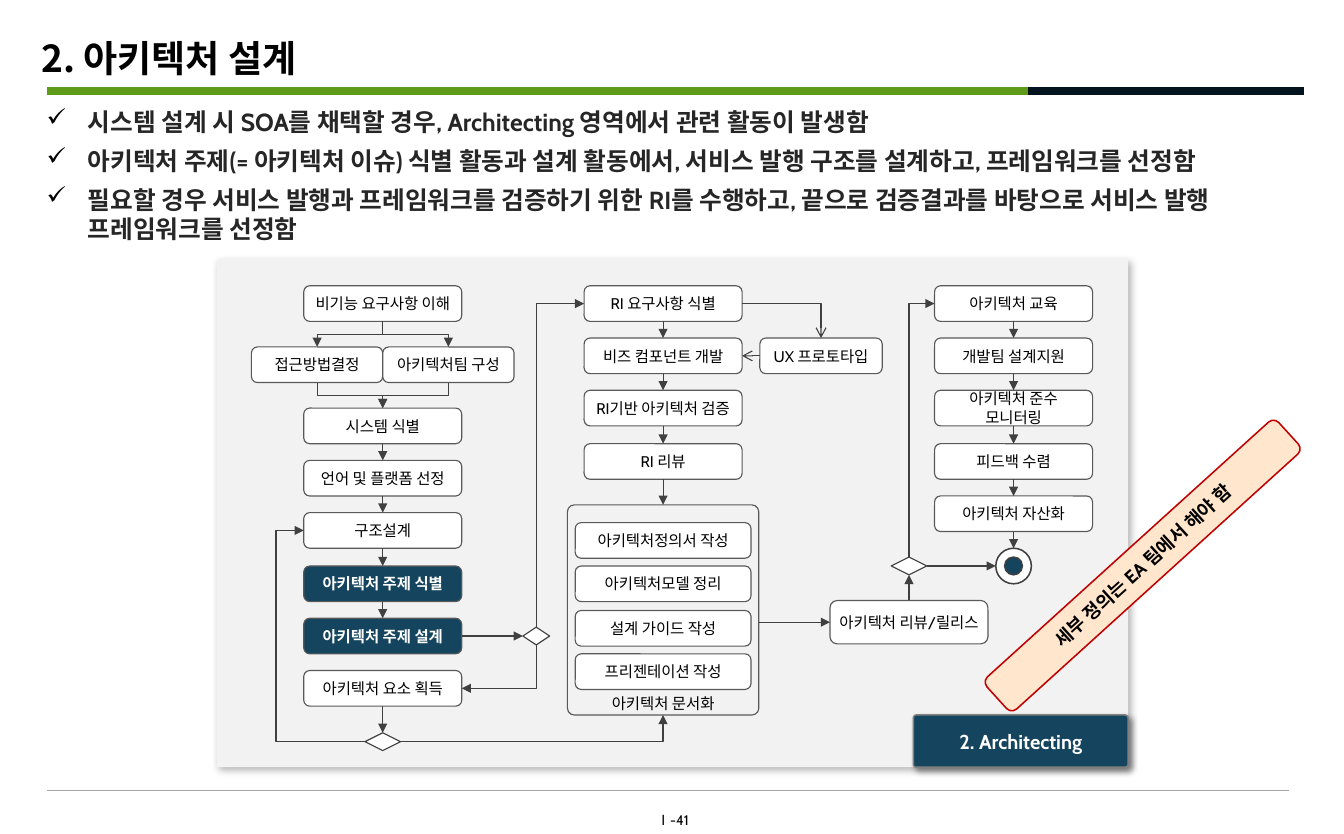
"""Build the architecture design process slide."""
from lxml import etree
from pptx import Presentation
from pptx import util as u
from pptx.dml.color import RGBColor
from pptx.enum import shapes, text
from pptx.oxml.ns import qn

PX = 9144
KOREAN, LATIN = "Noto Sans CJK KR", "Cabin"
TOP, LEFT, BOTTOM, RIGHT = range(4)
TURN = {RIGHT: 0, BOTTOM: 90, LEFT: 180, TOP: 270}
KIND = shapes.MSO_SHAPE
COLORS = {
    "black": "000000", "white": "FFFFFF", "body": "262626", "green": "609A1A",
    "dark": "04141E", "rule": "A6A6A6", "panel": "F2F2F2", "navy": "15455E",
    "gray": "808080", "border": "595959", "arrow": "404040",
    "peach": "FFE6CD", "red": "C00000",
}
BULLETS = [
    "시스템 설계 시 SOA를 채택할 경우, Architecting 영역에서 관련 활동이 발생함",
    "아키텍처 주제(= 아키텍처 이슈) 식별 활동과 설계 활동에서, 서비스 발행 구조를 설계하고, 프레임워크를 선정함",
    "필요할 경우 서비스 발행과 프레임워크를 검증하기 위한 RI를 수행하고, 끝으로 검증결과를 바탕으로 서비스 발행 프레임워크를 선정함",
]
DESIGN = ["시스템 식별", "언어 및 플랫폼 선정", "구조설계", "아키텍처 주제 식별", "아키텍처 주제 설계", "아키텍처 요소 획득"]
REFERENCE = ["RI 요구사항 식별", "비즈 컴포넌트 개발", "RI기반 아키텍처 검증", "RI 리뷰"]
DOCUMENTS = ["아키텍처정의서 작성", "아키텍처모델 정리", "설계 가이드 작성", "프리젠테이션 작성"]
ROLLOUT = ["아키텍처 교육", "개발팀 설계지원", "아키텍처 준수 모니터링", "피드백 수렴", "아키텍처 자산화"]


def px(*lengths):
    return [u.Emu(length * PX) for length in lengths]


def rgb(name):
    return RGBColor.from_string(COLORS[name])


def add_run(paragraph, words, size, color, bold=False, latin=LATIN):
    run = paragraph.add_run()
    run.text = words
    font = run.font
    font.size, font.bold, font.name = u.Pt(size), bold, latin
    font.color.rgb = rgb(color)
    etree.SubElement(run._r.get_or_add_rPr(), qn("a:ea"), typeface=KOREAN)


def set_frame(shape, anchor, side=4, edge=5):
    frame = shape.text_frame
    frame.word_wrap = True
    frame.vertical_anchor = anchor
    frame.margin_left, frame.margin_right, frame.margin_top, frame.margin_bottom = px(side, side, edge, edge)
    return frame


def add_block(slide, kind, box, fill, line=None, width=0.75, corner=None):
    shape = slide.shapes.add_shape(kind, *px(*box))
    shape.shadow.inherit = False
    shape.fill.solid()
    shape.fill.fore_color.rgb = rgb(fill)
    if line:
        shape.line.color.rgb = rgb(line)
        shape.line.width = u.Pt(width)
    else:
        shape.line.fill.background()
    if corner is not None:
        shape.adjustments[0] = corner
    return shape


def add_label(shape, words, size=10, color="black", bold=False, anchor=text.MSO_ANCHOR.MIDDLE, side=4, edge=5):
    paragraph = set_frame(shape, anchor, side, edge).paragraphs[0]
    paragraph.alignment = text.PP_ALIGN.CENTER
    add_run(paragraph, words, size, color, bold)


def add_step(slide, words, left, top, width=142, height=32, key=False):
    shape = add_block(slide, KIND.ROUNDED_RECTANGLE, (left, top, width, height), "navy" if key else "white", "border")
    add_label(shape, words, color="white" if key else "black", bold=key)
    return shape


def add_decision(slide, left, top, width=32):
    return add_block(slide, KIND.FLOWCHART_DECISION, (left, top, width, 16), "white", "arrow")


def add_shadow(shape, alpha, blur, distance, angle):
    effects = shape._element.spPr.find(qn("a:effectLst"))
    shadow = etree.SubElement(effects, qn("a:outerShdw"), blurRad=str(u.Pt(blur)), dist=str(u.Pt(distance)),
                              dir=str(angle * 60000), algn="tl", rotWithShape="0")
    color = etree.SubElement(shadow, qn("a:srgbClr"), val=COLORS["black"])
    etree.SubElement(color, qn("a:alpha"), val=str(alpha * 1000))


def add_line(slide, kind, start, end, color, width, head=None):
    connector = slide.shapes.add_connector(kind, *start, *end)
    connector.line.color.rgb = rgb(color)
    connector.line.width = u.Pt(width)
    if head:
        etree.SubElement(connector.line._get_or_add_ln(), qn("a:tailEnd"), type=head)
    etree.SubElement(connector._element.spPr, qn("a:effectLst"))
    return connector


def side_point(shape, side):
    across = {LEFT: 0, RIGHT: 2}.get(side, 1)
    down = {TOP: 0, BOTTOM: 2}.get(side, 1)
    return shape.left + shape.width * across // 2, shape.top + shape.height * down // 2


def join(connector, source, source_side, target, target_side):
    connector.begin_connect(source, source_side)
    if target.auto_shape_type != KIND.OVAL:
        connector.end_connect(target, target_side)


def add_arrow(slide, source, source_side, target, target_side, head="triangle"):
    start, end = side_point(source, source_side), side_point(target, target_side)
    connector = add_line(slide, shapes.MSO_CONNECTOR.STRAIGHT, start, end, "arrow", 0.75, head)
    join(connector, source, source_side, target, target_side)


def add_elbow(slide, source, source_side, target, target_side, head="triangle", bend=None):
    start, end = side_point(source, source_side), side_point(target, target_side)
    connector = add_line(slide, shapes.MSO_CONNECTOR.ELBOW, start, end, "arrow", 0.75, head)
    join(connector, source, source_side, target, target_side)
    turn = TURN[source_side]
    across, down = end[0] - start[0], end[1] - start[1]
    along, aside = {0: (across, down), 90: (down, -across), 180: (-across, -down), 270: (-down, across)}[turn]
    connector.width, connector.height = abs(along), abs(aside)
    connector.left = (start[0] + end[0] - abs(along)) // 2
    connector.top = (start[1] + end[1] - abs(aside)) // 2
    frame = connector._element.spPr.find(qn("a:xfrm"))
    frame.set("rot", str(turn * 60000))
    frame.set("flipH", "0")
    frame.set("flipV", "1" if aside < 0 else "0")
    geometry = connector._element.spPr.find(qn("a:prstGeom"))
    if source_side % 2 != target_side % 2:
        geometry.set("prst", "bentConnector2")
    if bend:
        etree.SubElement(geometry.find(qn("a:avLst")), qn("a:gd"), name="adj1", fmla=f"val {bend}")


def add_column(slide, names, left, top, keys=()):
    steps = [add_step(slide, name, left, top + round(47.25 * row), key=row in keys) for row, name in enumerate(names)]
    for row, (upper, lower) in enumerate(zip(steps, steps[1:])):
        if row != 4:
            add_arrow(slide, upper, BOTTOM, lower, TOP)
    return steps


def add_heading(slide):
    title = slide.shapes.title
    title.left, title.top, title.width, title.height = px(37, 28, 1137, 47)
    paragraph = set_frame(title, text.MSO_ANCHOR.MIDDLE, 0, 0).paragraphs[0]
    paragraph.alignment = text.PP_ALIGN.LEFT
    add_run(paragraph, "2. 아키텍처 설계", 24, "black", True, KOREAN)
    for left, right, top, color, width in ((42, 964, 82, "green", 5), (924, 1172, 82, "dark", 5),
                                           (42, 1159, 711, "rule", 0.25)):
        add_line(slide, shapes.MSO_CONNECTOR.STRAIGHT, px(left, top), px(right, top), color, width)
    footer = slide.shapes.add_textbox(*px(513, 724, 183, 26))
    paragraph = set_frame(footer, text.MSO_ANCHOR.TOP, 10).paragraphs[0]
    paragraph.alignment = text.PP_ALIGN.CENTER
    paragraph.line_spacing = 1.05
    add_run(paragraph, "Ⅰ", 9, "black", latin=KOREAN)
    add_run(paragraph, "-41", 9, "black")


def add_bullets(slide):
    frame = set_frame(slide.shapes.add_textbox(*px(38, 91, 1134, 125)), text.MSO_ANCHOR.TOP)
    for row, words in enumerate(BULLETS):
        paragraph = frame.add_paragraph() if row else frame.paragraphs[0]
        if row:
            paragraph.space_before = u.Pt(6)
        properties = paragraph._p.get_or_add_pPr()
        properties.set("marL", str(37 * PX))
        properties.set("indent", str(-37 * PX))
        color = etree.SubElement(properties, qn("a:buClr"))
        etree.SubElement(color, qn("a:srgbClr"), val=COLORS["black"])
        etree.SubElement(properties, qn("a:buChar"), char="✓")
        add_run(paragraph, words, 16, "body", True)


def add_process(slide):
    understand = add_step(slide, "비기능 요구사항 이해", 273, 257)
    design = add_column(slide, DESIGN, 273, 367, keys=(3, 4))
    for name, left in (("접근방법결정", 226), ("아키텍처팀 구성", 344)):
        branch = add_step(slide, name, left, 312, 118)
        add_elbow(slide, understand, BOTTOM, branch, TOP)
        add_elbow(slide, branch, BOTTOM, design[0], TOP)
    reference = add_column(slide, REFERENCE, 525, 257)
    prototype = add_step(slide, "UX 프로토타입", 683, 304, 110)
    documents = add_block(slide, KIND.ROUNDED_RECTANGLE, (510, 454, 172, 189), "panel", "border", corner=0.036)
    add_label(documents, "아키텍처 문서화", anchor=text.MSO_ANCHOR.BOTTOM, edge=0)
    for row, name in enumerate(DOCUMENTS):
        add_step(slide, name, 517, 470 + round(39.4 * row), 158)
    release = add_step(slide, "아키텍처 리뷰/릴리스", 746, 540, height=39)
    rollout = add_column(slide, ROLLOUT, 840, 257)
    finish = add_block(slide, KIND.OVAL, (895, 493, 32, 32), "white", "arrow", 1)
    add_block(slide, KIND.OVAL, (903, 501, 16, 16), "navy", "arrow", 1)
    verify, repeat, approve = add_decision(slide, 470, 564, 24), add_decision(slide, 328, 659), add_decision(slide, 801, 501)

    add_arrow(slide, design[4], RIGHT, verify, LEFT)
    add_elbow(slide, verify, TOP, reference[0], LEFT)
    add_elbow(slide, verify, BOTTOM, design[5], RIGHT)
    add_arrow(slide, design[5], BOTTOM, repeat, TOP)
    add_elbow(slide, repeat, LEFT, design[2], LEFT, bend=145400)
    add_elbow(slide, repeat, RIGHT, documents, BOTTOM)
    add_elbow(slide, reference[0], RIGHT, prototype, TOP, "arrow")
    add_arrow(slide, prototype, LEFT, reference[1], RIGHT, "arrow")
    add_arrow(slide, reference[3], BOTTOM, documents, TOP)
    handover = side_point(release, LEFT)
    connector = add_line(slide, shapes.MSO_CONNECTOR.STRAIGHT, (documents.left + documents.width, handover[1]),
                         handover, "arrow", 0.75, "triangle")
    connector.end_connect(release, LEFT)
    add_arrow(slide, release, TOP, approve, BOTTOM)
    add_elbow(slide, approve, TOP, rollout[0], LEFT)
    add_arrow(slide, approve, RIGHT, finish, LEFT)
    add_arrow(slide, rollout[4], BOTTOM, finish, TOP)


def main():
    presentation = Presentation()
    presentation.slide_width, presentation.slide_height = px(1208, 750)
    slide = presentation.slides.add_slide(presentation.slide_layouts[5])
    add_heading(slide)
    panel = add_block(slide, KIND.RECTANGLE, (195, 233, 819, 457), "panel")
    add_shadow(panel, 30, 4.5, 2.6, 53)
    add_bullets(slide)
    stage = add_block(slide, KIND.ROUNDED_RECTANGLE, (821, 643, 193, 47), "navy", "gray", 1, 0.054)
    add_shadow(stage, 40, 4, 3, 45)
    add_label(stage, "2. Architecting", 13, "white", True)
    add_process(slide)
    banner = add_block(slide, KIND.ROUNDED_RECTANGLE, (850, 489, 354, 39), "peach", "red", 1)
    banner.rotation = 317.8
    add_label(banner, "세부 정의는 EA 팀에서 해야 함", 12, "black", True)
    presentation.save("out.pptx")


if __name__ == "__main__":
    main()
